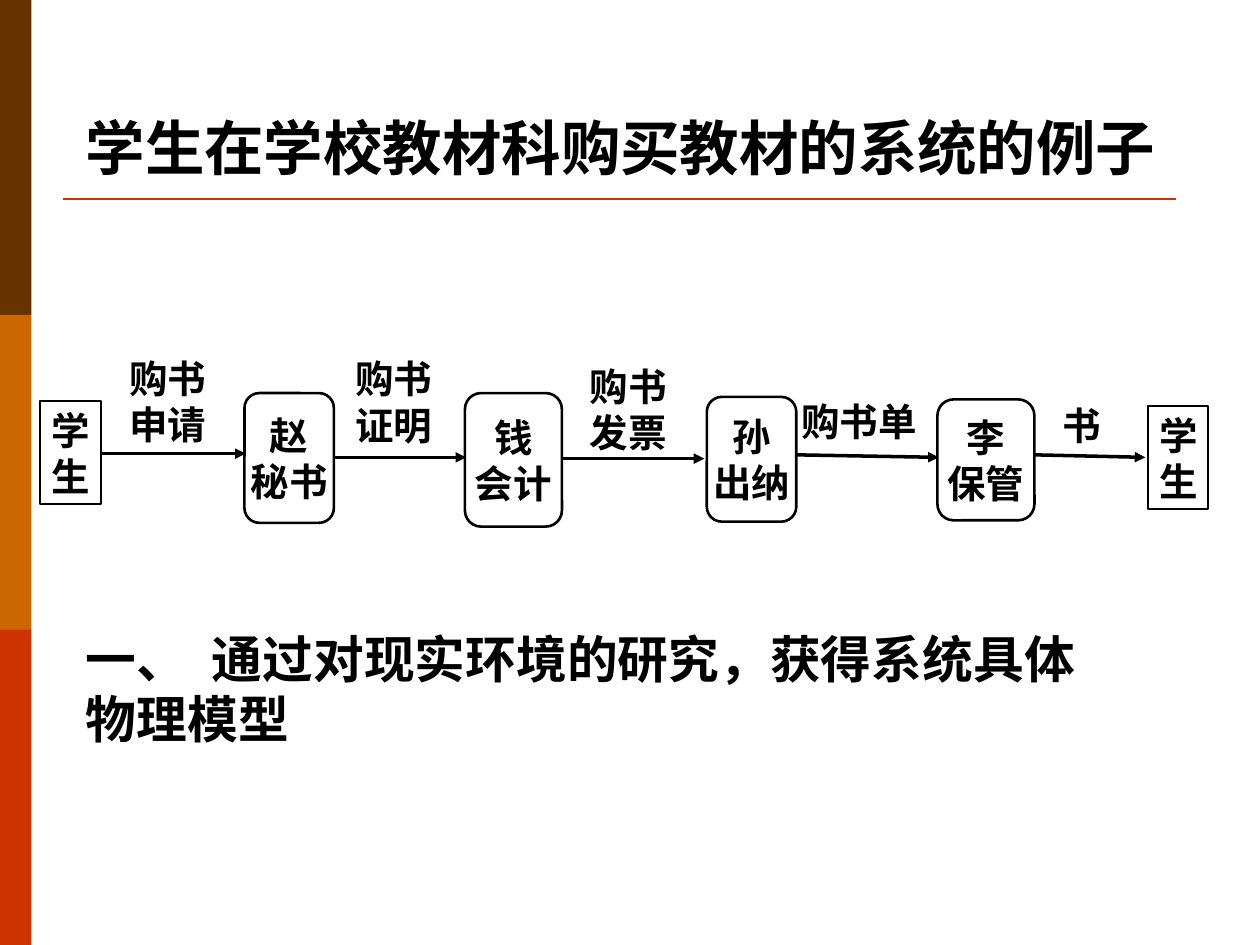
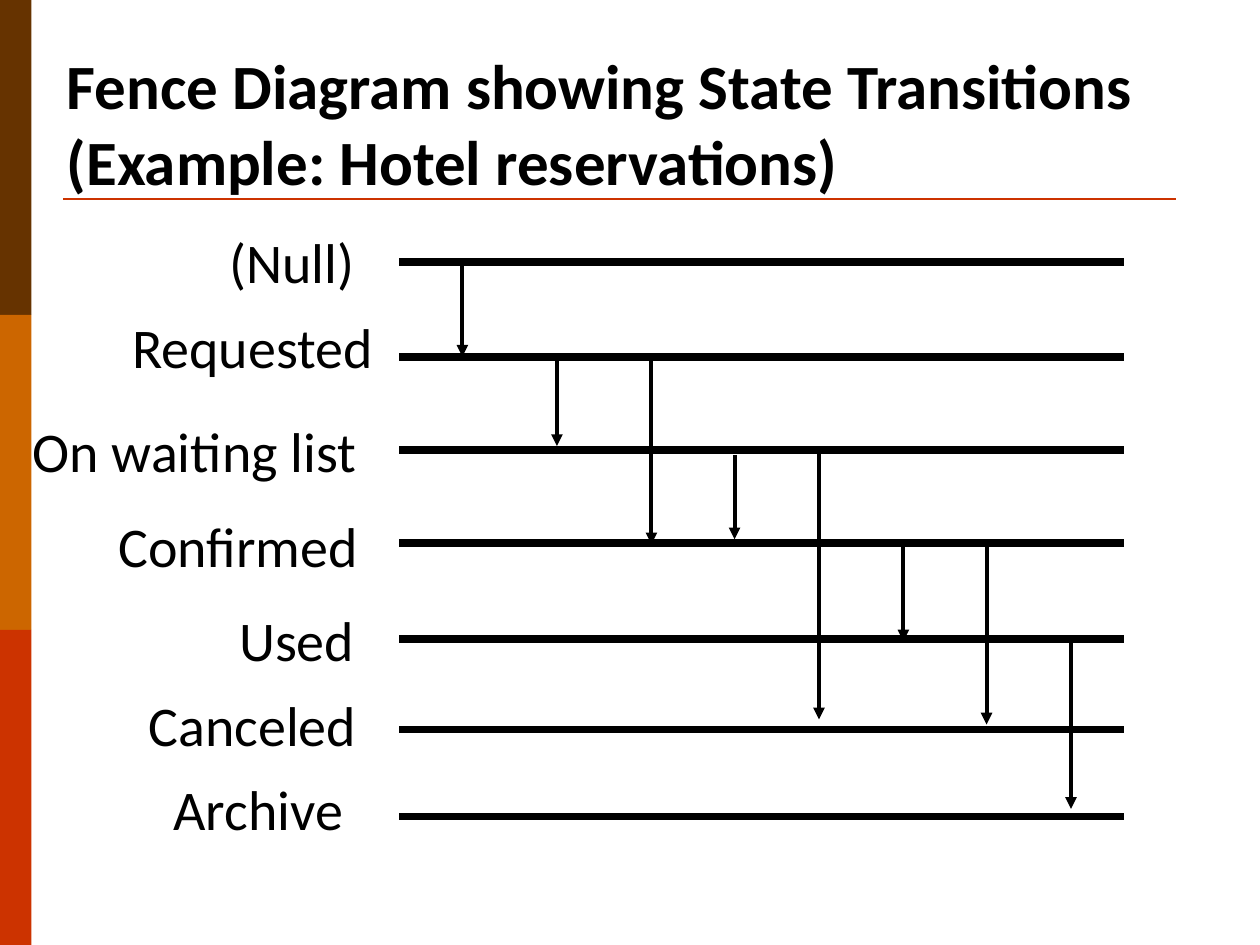
from lxml import etree
from pptx import Presentation
from pptx.dml.color import RGBColor
from pptx.enum.shapes import MSO_CONNECTOR, MSO_SHAPE
from pptx.enum.text import MSO_ANCHOR, MSO_AUTO_SIZE, PP_ALIGN
from pptx.oxml.ns import qn
from pptx.util import Inches, Pt

LEFT, CENTER, JUSTIFY = PP_ALIGN.LEFT, PP_ALIGN.CENTER, PP_ALIGN.JUSTIFY
TOP, MIDDLE, BOTTOM = MSO_ANCHOR.TOP, MSO_ANCHOR.MIDDLE, MSO_ANCHOR.BOTTOM
RECTANGLE, ROUNDED = MSO_SHAPE.RECTANGLE, MSO_SHAPE.ROUNDED_RECTANGLE

BLACK = RGBColor(0x00, 0x00, 0x00)
BROWN = RGBColor(0x66, 0x33, 0x00)
ORANGE = RGBColor(0xCC, 0x66, 0x00)
RED = RGBColor(0xCC, 0x33, 0x00)
SERIF, SANS = "Times New Roman", "Calibri"


def write(shape, text, size, font, bold=True, align=LEFT, anchor=TOP,
          insets=(0.1, 0.05, 0.1, 0.05), wrap=True):
    """Fill a shape with text, one paragraph per line; insets are left, top, right, bottom."""
    frame = shape.text_frame
    frame.text = text
    frame.auto_size = MSO_AUTO_SIZE.NONE
    frame.word_wrap = wrap
    frame.vertical_anchor = anchor
    (frame.margin_left, frame.margin_top,
     frame.margin_right, frame.margin_bottom) = map(Inches, insets)
    for paragraph in frame.paragraphs:
        paragraph.alignment = align
        paragraph.font.size = Pt(size)
        paragraph.font.name = font
        paragraph.font.bold = bold
        paragraph.font.color.rgb = BLACK


def draw_line(slide, x1, y1, x2, y2, width, color=BLACK, arrow=False):
    line = slide.shapes.add_connector(
        MSO_CONNECTOR.STRAIGHT, Inches(x1), Inches(y1), Inches(x2), Inches(y2))
    line.line.color.rgb = color
    line.line.width = Pt(width)
    if arrow:
        etree.SubElement(line.line._get_or_add_ln(), qn("a:tailEnd"), type="triangle")
    etree.SubElement(line._element.spPr, qn("a:effectLst"))


prs = Presentation()
prs.slide_width, prs.slide_height = Inches(10), Inches(7.5)

titles = [
    ("学生在学校教材科购买教材的系统的例子", 34, SERIF, (0.58, 0.53, 9.06, 0.97)),
    ("Fence Diagram showing State Transitions (Example: Hotel reservations)",
     36, SANS, (0.43, 0.62, 9.17, 1)),
]
for text, size, font, place in titles:
    slide = prs.slides.add_slide(prs.slide_layouts[5])
    for i, color in enumerate((BROWN, ORANGE, RED)):
        band = slide.shapes.add_shape(
            RECTANGLE, 0, Inches(2.5 * i), Inches(0.25), Inches(2.5))
        band.shadow.inherit = False
        band.fill.solid()
        band.fill.fore_color.rgb = color
        band.line.fill.background()
    draw_line(slide, 0.5, 1.58, 9.33, 1.58, 1.5, RED)
    title = slide.shapes.title
    title.left, title.top, title.width, title.height = map(Inches, place)
    write(title, text, size, font, anchor=BOTTOM)

purchase, fence = prs.slides

# Textbook purchase flow
conclusion = purchase.shapes.add_textbox(
    Inches(0.59), Inches(4.93), Inches(8.11), Inches(1.06))
conclusion.text_frame.text = ""
tabs = etree.SubElement(
    conclusion.text_frame.paragraphs[0]._p.get_or_add_pPr(), qn("a:tabLst"))
etree.SubElement(tabs, qn("a:tab"), pos=str(Inches(0.91)), algn="l")
write(conclusion, "一、\t通过对现实环境的研究，获得系统具体物理模型", 29, SERIF,
      insets=(0.09, 0.05, 0.09, 0.05))

documents = [
    ("购书申请", 0.91, 2.78, 0.84, 0.66, CENTER),
    ("购书\n证明", 2.82, 2.78, 0.68, 0.81, JUSTIFY),
    ("购书\n发票", 4.68, 2.84, 0.68, 0.68, JUSTIFY),
    ("购书单", 6.36, 3.12, 0.97, 0.45, JUSTIFY),
    ("书", 8.43, 3.15, 0.4, 0.34, JUSTIFY),
]
for text, x, y, w, h, align in documents:
    document = purchase.shapes.add_textbox(Inches(x), Inches(y), Inches(w), Inches(h))
    write(document, text, 22, SERIF, align=align, insets=(0, 0.04, 0, 0))

handovers = [
    (0.81, 3.6, 1.95, 3.6),
    (2.65, 3.63, 3.7, 3.63),
    (4.45, 3.64, 5.59, 3.64),
    (6.32, 3.61, 7.45, 3.63),
    (8.21, 3.61, 9.09, 3.63),
]
for ends in handovers:
    draw_line(purchase, *ends, 2, arrow=True)

people = [
    ("学生", 0.32, 3.18, 0.48, 0.82),
    ("赵\n秘书", 1.94, 3.12, 0.71, 1.03),
    ("钱\n会计", 3.69, 3.12, 0.77, 1.06),
    ("孙\n出纳", 5.61, 3.15, 0.71, 0.99),
    ("李\n保管", 7.44, 3.17, 0.77, 0.96),
    ("学生", 9.11, 3.22, 0.48, 0.82),
]
for text, x, y, w, h in people:
    is_student = text == "学生"
    person = purchase.shapes.add_shape(
        RECTANGLE if is_student else ROUNDED, Inches(x), Inches(y), Inches(w), Inches(h))
    person.shadow.inherit = False
    person.fill.background()
    person.line.color.rgb = BLACK
    person.line.width = Pt(1 if is_student else 1.5)
    if is_student:
        write(person, text, 22, SERIF, insets=(0.09, 0.05, 0.09, 0.05))
    else:
        write(person, text, 22, SERIF, align=CENTER, anchor=MIDDLE, insets=(0, 0, 0, 0))

# Reservation states: label, label left, label top, label width, rail height on the slide
states = [
    ("(Null)", 1.72, 1.76, 1.2, 2.08),
    ("Requested", 0.95, 2.43, 2.13, 2.83),
    ("On waiting list", 0.16, 3.26, 2.78, 3.57),
    ("Confirmed", 0.84, 4.01, 2.11, 4.31),
    ("Used", 1.8, 4.76, 1.12, 5.07),
    ("Canceled", 1.08, 5.43, 1.85, 5.79),
    ("Archive", 1.28, 6.1, 1.56, 6.48),
]
for text, x, y, w, rail_y in states:
    draw_line(fence, 3.17, rail_y, 8.92, rail_y, 4.5)
    state = fence.shapes.add_textbox(Inches(x), Inches(y), Inches(w), Inches(0.63))
    write(state, text, 32, SANS, bold=False, wrap=False)

transitions = [
    (3.67, 2.08, 2.83),
    (4.42, 2.86, 3.54),
    (5.17, 2.82, 4.32),
    (5.83, 3.61, 4.28),
    (6.5, 3.58, 5.71),
    (7.17, 4.34, 5.09),
    (7.83, 4.33, 5.75),
    (8.5, 5.09, 6.42),
]
for x, start, end in transitions:
    draw_line(fence, x, start, x, end, 2.25, arrow=True)

prs.save("out.pptx")
